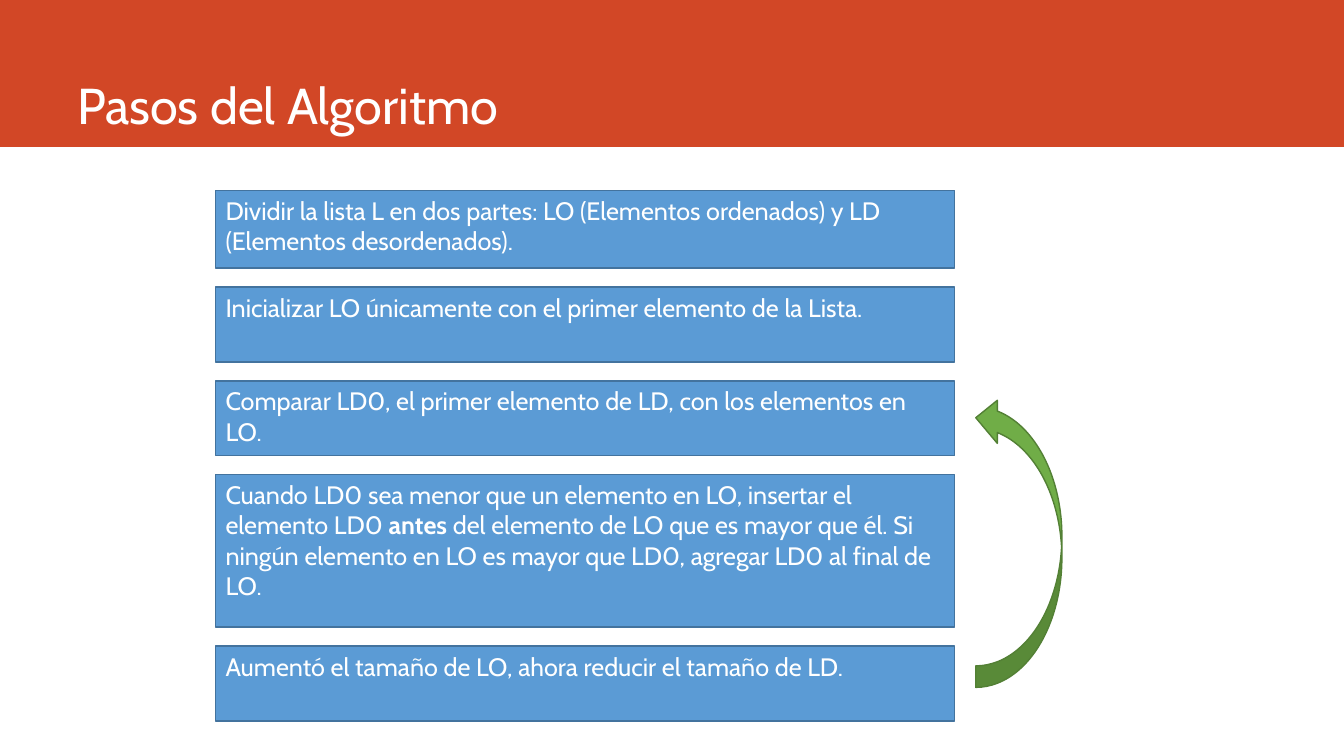
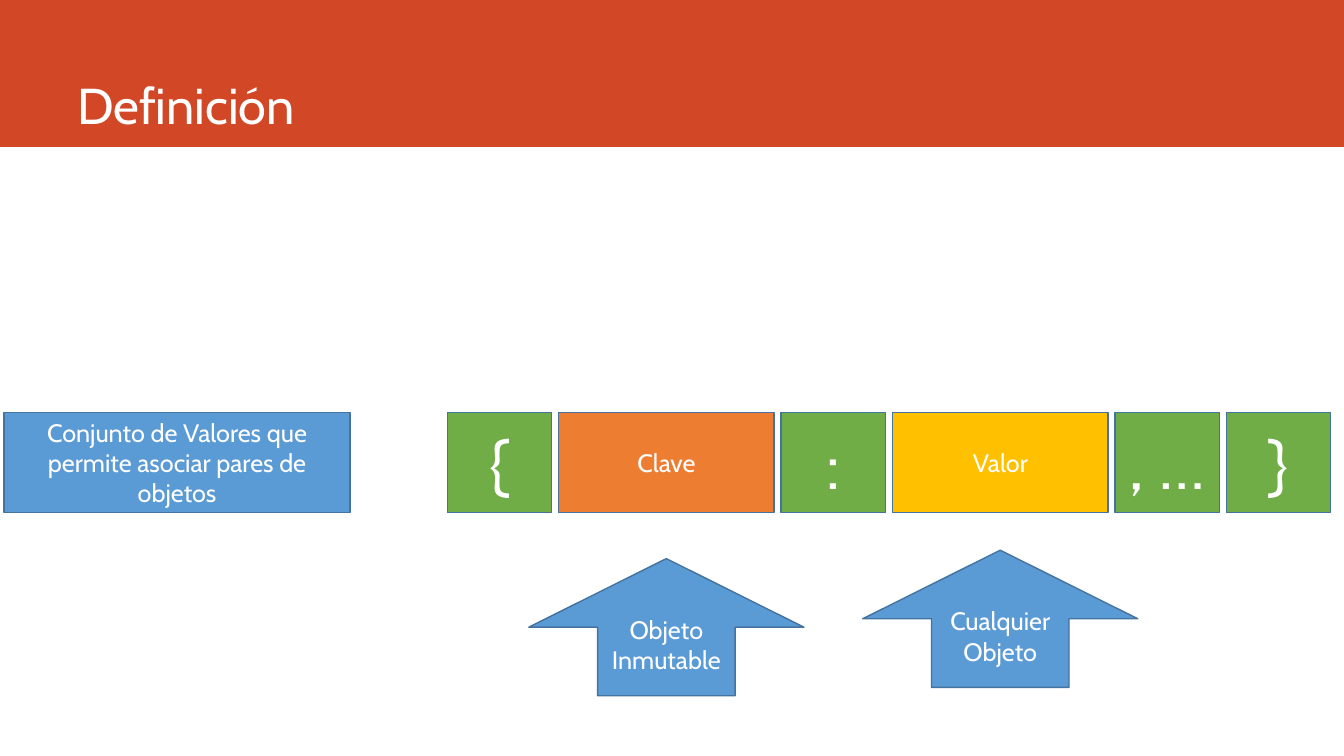
from pptx import Presentation
from pptx.dml.color import RGBColor
from pptx.enum import shapes, text
from pptx.util import Pt

FONT = "Cabin"
WHITE = RGBColor(0xFF, 0xFF, 0xFF)
RED = RGBColor(0xD2, 0x47, 0x26)
BLUE = RGBColor(0x5B, 0x9B, 0xD5)
NAVY = RGBColor(0x43, 0x73, 0x9E)
GREEN = RGBColor(0x70, 0xAD, 0x47)
MOSS = RGBColor(0x53, 0x80, 0x35)
ORANGE = RGBColor(0xED, 0x7D, 0x31)
GOLD = RGBColor(0xFF, 0xC0, 0x00)

KIND = shapes.MSO_SHAPE
TOP, MIDDLE, BOTTOM = text.MSO_ANCHOR.TOP, text.MSO_ANCHOR.MIDDLE, text.MSO_ANCHOR.BOTTOM
LEFT, CENTER = text.PP_ALIGN.LEFT, text.PP_ALIGN.CENTER

WIDTH, HEIGHT = 960, 540
STEPS = [
    (55.5, ["Dividir la lista L en dos partes: LO (Elementos ordenados) y LD (Elementos desordenados)."]),
    (53.5, ["Inicializar LO únicamente con el primer elemento de la Lista."]),
    (53.5, ["Comparar LD0, el primer elemento de LD, con los elementos en LO."]),
    (109, ["Cuando LD0 sea menor que un elemento en LO, insertar el elemento LD0 ", "antes",
           " del elemento de LO que es mayor que él. Si ningún elemento en LO es mayor que LD0, "
           "agregar LD0 al final de LO."]),
    (53.5, ["Aumentó el tamaño de LO, ahora reducir el tamaño de LD."]),
]
TILES = [
    ("{", 74.5, GREEN, 48),
    ("Clave", 154, ORANGE, 18),
    (":", 74.5, GREEN, 48),
    ("Valor", 154, GOLD, 18),
    (", …", 74.5, GREEN, 48),
    ("}", 74.5, GREEN, 48),
]
NOTES = {
    "Clave": (33, ["Objeto", "Inmutable"]),
    "Valor": (27, ["Cualquier", "Objeto"]),
}


def write(frame, lines, size=18, align=CENTER, anchor=MIDDLE):
    """Fill a frame with lines of runs, where every second run is bold."""
    frame.word_wrap = True
    frame.vertical_anchor = anchor
    for i, runs in enumerate(lines):
        para = frame.paragraphs[0] if i == 0 else frame.add_paragraph()
        para.alignment = align
        para.font.name = FONT
        para.font.size = Pt(size)
        para.font.color.rgb = WHITE
        for j, words in enumerate(runs):
            run = para.add_run()
            run.text = words
            if j % 2:
                run.font.bold = True


def draw(slide, kind, box, fill, line=NAVY):
    """Add a flat preset shape in a box given as left, top, width, height."""
    shape = slide.shapes.add_shape(kind, *map(Pt, box))
    shape.shadow.inherit = False
    shape.fill.solid()
    shape.fill.fore_color.rgb = fill
    if line is None:
        shape.line.fill.background()
    else:
        shape.line.color.rgb = line
        shape.line.width = Pt(1)
    return shape


def start(deck, title):
    """Add a blank slide with the red band and its title."""
    slide = deck.slides.add_slide(deck.slide_layouts[6])
    draw(slide, KIND.RECTANGLE, (0, 0, WIDTH, 105), RED, None)
    frame = slide.shapes.add_textbox(Pt(48), 0, Pt(846), Pt(96.5)).text_frame
    frame.margin_bottom = 0
    write(frame, [[title]], 36, LEFT, BOTTOM)
    return slide


def stack(slide, left, top, width, gap=13.5):
    """Pile up the steps from the top, with equal gaps."""
    for height, runs in STEPS:
        step = draw(slide, KIND.RECTANGLE, (left, top, width, height), BLUE)
        write(step.text_frame, [runs], align=LEFT, anchor=TOP)
        top += height + gap


def loop(slide, box):
    """Draw the curved arrow that leads back to an earlier step."""
    arrow = draw(slide, KIND.CURVED_RIGHT_ARROW, box, GREEN, MOSS)
    arrow.rotation = 180


def syntax(slide, left, top, height, gap=5):
    """Set the tiles in a row, with an arrow below each tile that has a note."""
    for label, width, fill, size in TILES:
        tile = draw(slide, KIND.RECTANGLE, (left, top, width, height), fill)
        write(tile.text_frame, [[label]], size)
        if label in NOTES:
            drop, lines = NOTES[label]
            note(slide, left + width / 2, top + height + drop, lines)
        left += width + gap


def note(slide, mid, top, lines, width=196.5, height=98):
    """Draw an up arrow with text, centred on mid."""
    arrow = draw(slide, KIND.UP_ARROW, (mid - width / 2, top, width, height), BLUE)
    write(arrow.text_frame, [[line] for line in lines])


def main():
    """Build both slides and save the deck."""
    deck = Presentation()
    deck.slide_width, deck.slide_height = Pt(WIDTH), Pt(HEIGHT)

    slide = start(deck, "Pasos del Algoritmo")
    stack(slide, 154, 136, 528)
    loop(slide, (697, 283, 61.5, 208))

    slide = start(deck, "Definición")
    claim = draw(slide, KIND.RECTANGLE, (3, 294.5, 247, 71.5), BLUE)
    write(claim.text_frame, [["Conjunto de Valores que permite asociar pares de objetos"]])
    syntax(slide, 319.5, 294.5, 71.5)

    deck.save("out.pptx")


if __name__ == "__main__":
    main()
